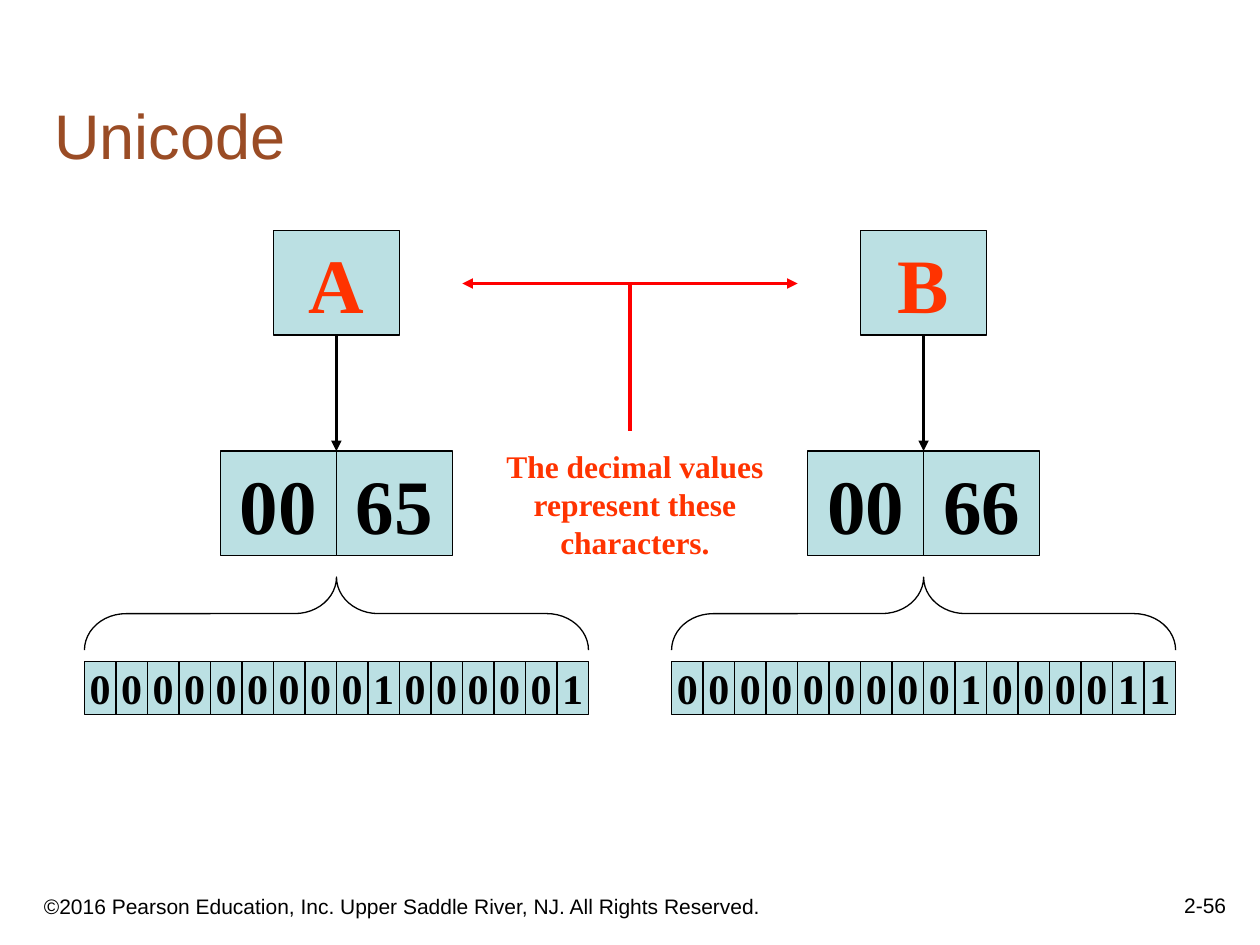
from lxml import etree
from pptx import Presentation
from pptx.dml.color import RGBColor
from pptx.enum.shapes import MSO_CONNECTOR, MSO_SHAPE
from pptx.enum.text import MSO_ANCHOR, MSO_AUTO_SIZE, PP_ALIGN
from pptx.oxml.ns import qn
from pptx.util import Inches, Pt

STRAIGHT = MSO_CONNECTOR.STRAIGHT
RECTANGLE, BRACE = MSO_SHAPE.RECTANGLE, MSO_SHAPE.LEFT_BRACE
TOP, MIDDLE, BOTTOM = MSO_ANCHOR.TOP, MSO_ANCHOR.MIDDLE, MSO_ANCHOR.BOTTOM
LEFT, CENTER, RIGHT = PP_ALIGN.LEFT, PP_ALIGN.CENTER, PP_ALIGN.RIGHT
TITLE_ONLY = 5
BOTTOM_SITE = 2

COLORS = {
    "title": "9A4C25",
    "cell": "BBE0E3",
    "accent": "FF3300",
    "pointer": "FF0000",
    "ink": "000000",
}
TITLE = {"name": "Arial", "size": Pt(36), "bold": False}
FOOTER = {"name": "Arial", "size": Pt(12)}
LARGE = {"name": "Times New Roman", "size": Pt(44), "bold": True}
BIT = {"name": "Times New Roman", "size": Pt(24), "bold": True}
CAPTION = {"name": "Times New Roman", "size": Pt(18), "bold": True}

# Character, bytes in decimal, bits, centre of the column
CHARACTERS = [
    ("A", ("00", "65"), "0000000001000001", 2.67),
    ("B", ("00", "66"), "0000000001000011", 7.33),
]
LETTER_TOP, LETTER_WIDTH = 1.83, 1
BYTE_TOP, BYTE_WIDTH = 3.58, 0.92
BIT_TOP, BIT_WIDTH, BIT_HEIGHT = 5.25, 0.25, 0.42
BOX_HEIGHT = 0.83
BRACE_CENTER, BRACE_DEPTH, BRACE_SPAN = 4.87, 0.58, 4


def rgb(color):
    return RGBColor.from_string(COLORS[color])


def set_text(shape, text, font, color, align, anchor, wrap=True):
    frame = shape.text_frame
    frame.text = text
    frame.word_wrap = wrap
    frame.auto_size = MSO_AUTO_SIZE.NONE
    frame.vertical_anchor = anchor
    for paragraph in frame.paragraphs:
        paragraph.alignment = align
        paragraph.font.color.rgb = rgb(color)
        for name, value in font.items():
            setattr(paragraph.font, name, value)


def add_label(shapes, text, box, font, color, align, anchor, wrap=True):
    label = shapes.add_textbox(*map(Inches, box))
    set_text(label, text, font, color, align, anchor, wrap)


def add_cell(shapes, text, box, font, color="ink"):
    cell = shapes.add_shape(RECTANGLE, *map(Inches, box))
    cell.shadow.inherit = False
    cell.fill.solid()
    cell.fill.fore_color.rgb = rgb("cell")
    cell.line.color.rgb = rgb("ink")
    cell.line.width = Pt(0.75)
    set_text(cell, text, font, color, CENTER, MIDDLE, wrap=False)
    return cell


def add_cell_row(slide, texts, center, top, width, height, font):
    """Group equal cells side by side, centred on the column."""
    group = slide.shapes.add_group_shape()
    left = center - len(texts) * width / 2
    for index, text in enumerate(texts):
        add_cell(group.shapes, text, (left + index * width, top, width, height), font)


def add_line(shapes, start, end, color, width, arrow_ends=()):
    """Draw a line; arrow_ends may hold headEnd and tailEnd, in that order."""
    line = shapes.add_connector(STRAIGHT, *map(Inches, start + end))
    line.line.color.rgb = rgb(color)
    line.line.width = Pt(width)
    outline = line.line._get_or_add_ln()
    for arrow_end in arrow_ends:
        etree.SubElement(outline, qn(f"a:{arrow_end}"), type="triangle")
    etree.SubElement(line._element.spPr, qn("a:effectLst"))
    return line


def add_brace(slide, center):
    """Add a brace lying on its side, with the point upwards."""
    brace = slide.shapes.add_shape(
        BRACE,
        Inches(center - BRACE_DEPTH / 2),
        Inches(BRACE_CENTER - BRACE_SPAN / 2),
        Inches(BRACE_DEPTH),
        Inches(BRACE_SPAN),
    )
    brace.rotation = 90
    brace.adjustments[0] = 0.57
    brace.shadow.inherit = False
    brace.fill.background()
    brace.line.color.rgb = rgb("ink")
    brace.line.width = Pt(0.75)


def add_character(slide, letter, byte_values, bits, center):
    letter_box = (center - LETTER_WIDTH / 2, LETTER_TOP, LETTER_WIDTH, BOX_HEIGHT)
    letter_cell = add_cell(slide.shapes, letter, letter_box, LARGE, "accent")
    add_cell_row(slide, byte_values, center, BYTE_TOP, BYTE_WIDTH, BOX_HEIGHT, LARGE)
    arrow = add_line(
        slide.shapes,
        (center, LETTER_TOP + BOX_HEIGHT),
        (center, BYTE_TOP),
        "ink",
        1.5,
        ["tailEnd"],
    )
    arrow.begin_connect(letter_cell, BOTTOM_SITE)
    add_cell_row(slide, bits, center, BIT_TOP, BIT_WIDTH, BIT_HEIGHT, BIT)
    add_brace(slide, center)


def add_explanation(slide):
    shapes = slide.shapes.add_group_shape().shapes
    caption = "The decimal values\nrepresent these\ncharacters."
    add_label(shapes, caption, (3.92, 3.5, 2.24, 1), CAPTION, "accent", CENTER, TOP, False)
    add_line(shapes, (5, 2.25), (5, 3.42), "pointer", 2)
    add_line(shapes, (3.67, 2.25), (6.33, 2.25), "pointer", 2, ["headEnd", "tailEnd"])


def add_title(slide, text):
    title = slide.shapes.title
    title.left, title.top, title.width, title.height = map(Inches, (0.33, 0.33, 9.42, 1.09))
    set_text(title, text, TITLE, "title", LEFT, BOTTOM)


def add_footer(slide):
    copyright_line = "©2016 Pearson Education, Inc. Upper Saddle River, NJ. All Rights Reserved."
    add_label(slide.shapes, copyright_line, (0.25, 6.92, 6.08, 0.42), FOOTER, "ink", LEFT, BOTTOM)
    add_label(slide.shapes, "2-56", (7.75, 6.83, 2.08, 0.5), FOOTER, "ink", RIGHT, BOTTOM)


def main():
    presentation = Presentation()
    presentation.slide_width = Inches(10)
    presentation.slide_height = Inches(7.5)
    slide = presentation.slides.add_slide(presentation.slide_layouts[TITLE_ONLY])
    add_title(slide, "Unicode")
    add_footer(slide)
    for character in CHARACTERS:
        add_character(slide, *character)
    add_explanation(slide)
    presentation.save("out.pptx")


if __name__ == "__main__":
    main()
